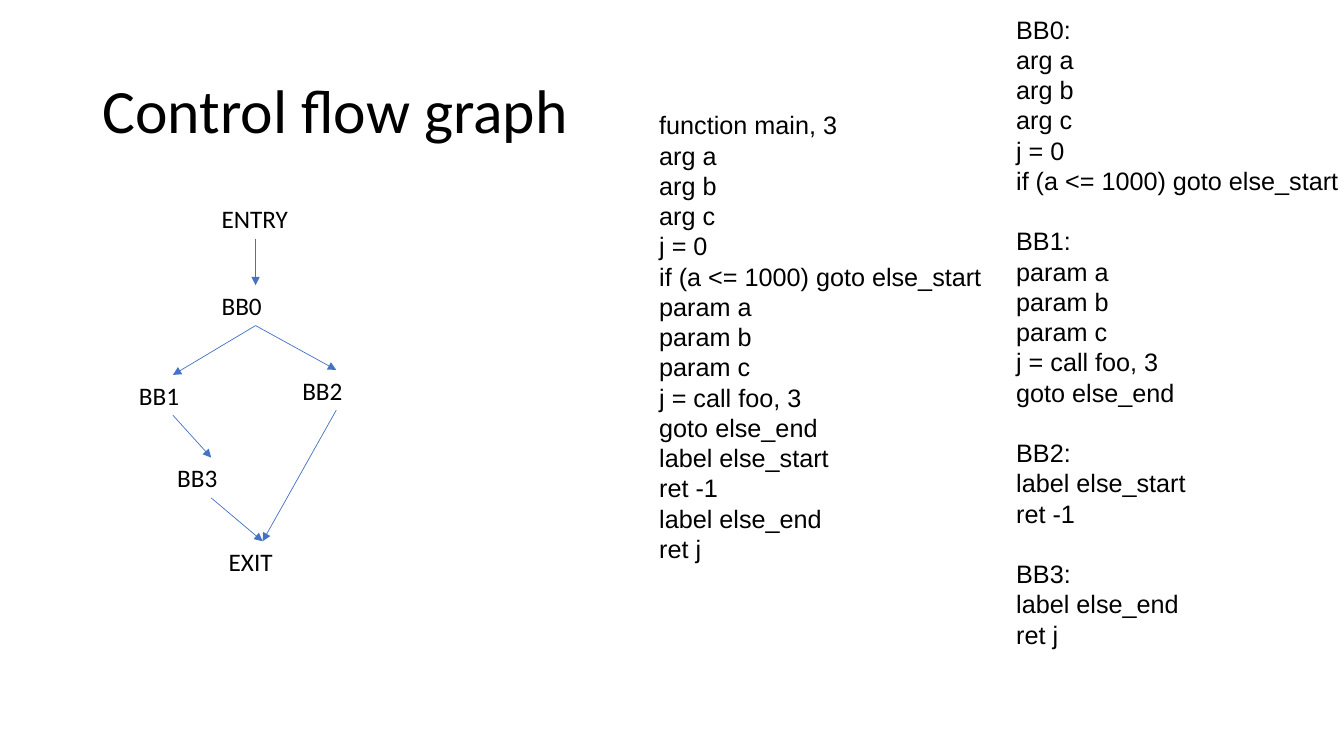
from pptx import Presentation
from pptx.dml.color import RGBColor
from pptx.enum.shapes import MSO_CONNECTOR as Conn
from pptx.enum.text import MSO_ANCHOR as Anchor
from pptx.oxml.ns import qn
from pptx.util import Inches, Pt
from lxml.etree import SubElement as Sub

NODE_W, NODE_H = 0.87, 0.4
NODES = {
    "ENTRY": (2.1, 1.97),
    "BB0": (2.1, 2.83),
    "BB1": (1.28, 3.72),
    "BB2": (2.9, 3.67),
    "BB3": (1.66, 4.54),
    "EXIT": (2.17, 5.37),
}
EDGES = [
    ("ENTRY", "BB0"), ("BB0", "BB1"), ("BB0", "BB2"),
    ("BB1", "BB3"), ("BB2", "EXIT"), ("BB3", "EXIT"),
]
HEAD = ["arg a", "arg b", "arg c", "j = 0", "if (a <= 1000) goto else_start"]
CALL = ["param a", "param b", "param c", "j = call foo, 3", "goto else_end"]
ELSE = ["label else_start", "ret -1"]
END = ["label else_end", "ret j"]
PARTS = [HEAD, CALL, ELSE, END]
PITCH = Pt(21.6)


def color(code):
    """Turn a hex string into a colour."""
    return RGBColor.from_string(code)


def add_text(slide, box, lines, size=18, face="Calibri", pitch=None):
    """Add a text box with one paragraph per line and return its frame."""
    frame = slide.shapes.add_textbox(*map(Inches, box)).text_frame
    frame.word_wrap = True
    frame.text = "\n".join(lines)
    for para in frame.paragraphs:
        font = para.font
        font.size, font.name = Pt(size), face
        font.color.rgb = color("000000")
        if pitch:
            para.line_spacing = pitch
    return frame


def add_code(slide, box, lines):
    """Add a code listing, with a gap above each later block label."""
    frame = add_text(slide, box, lines, face="Arial", pitch=PITCH)
    for para in frame.paragraphs[1:]:
        if para.text.endswith(":"):
            para.space_before = PITCH


def add_edge(slide, start, end):
    """Draw an arrow from the foot of one node to the top of another."""
    (x1, y1), (x2, y2) = NODES[start], NODES[end]
    half = NODE_W / 2
    ends = (x1 + half, y1 + NODE_H, x2 + half, y2)
    edge = slide.shapes.add_connector(Conn.STRAIGHT, *map(Inches, ends))
    edge.line.color.rgb = color("4472C4")
    edge.line.width = Pt(0.5)
    Sub(edge.line._get_or_add_ln(), qn("a:tailEnd"), type="triangle")
    Sub(edge._element.spPr, qn("a:effectLst"))


def main():
    """Build the slide and save it."""
    deck = Presentation()
    deck.slide_width, deck.slide_height = Inches(13.33), Inches(7.5)
    slide = deck.slides.add_slide(deck.slide_layouts[6])

    title = add_text(slide, (0.92, 0.4, 11.5, 1.45),
                     ["Control flow graph"], size=44, pitch=0.9)
    title.vertical_anchor = Anchor.MIDDLE

    flat = ["function main, 3"] + sum(PARTS, [])
    add_code(slide, (6.44, 1.04, 3.54, 4.64), flat)
    blocks = []
    for num, part in enumerate(PARTS):
        blocks += [f"BB{num}:"] + part
    add_code(slide, (9.98, 0.09, 3.41, 6.46), blocks)

    for name, spot in NODES.items():
        add_text(slide, (*spot, NODE_W, NODE_H), [name])
    for start, end in EDGES:
        add_edge(slide, start, end)
    deck.save("out.pptx")


if __name__ == "__main__":
    main()
